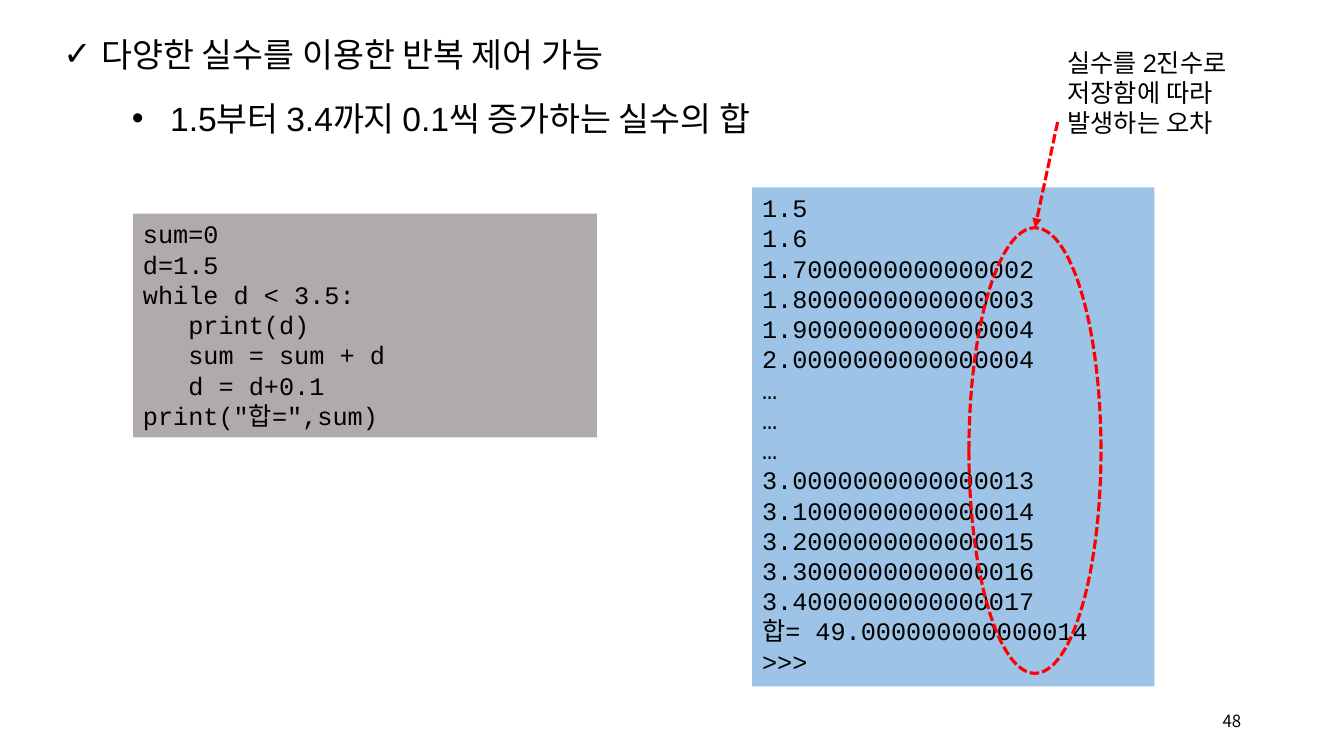
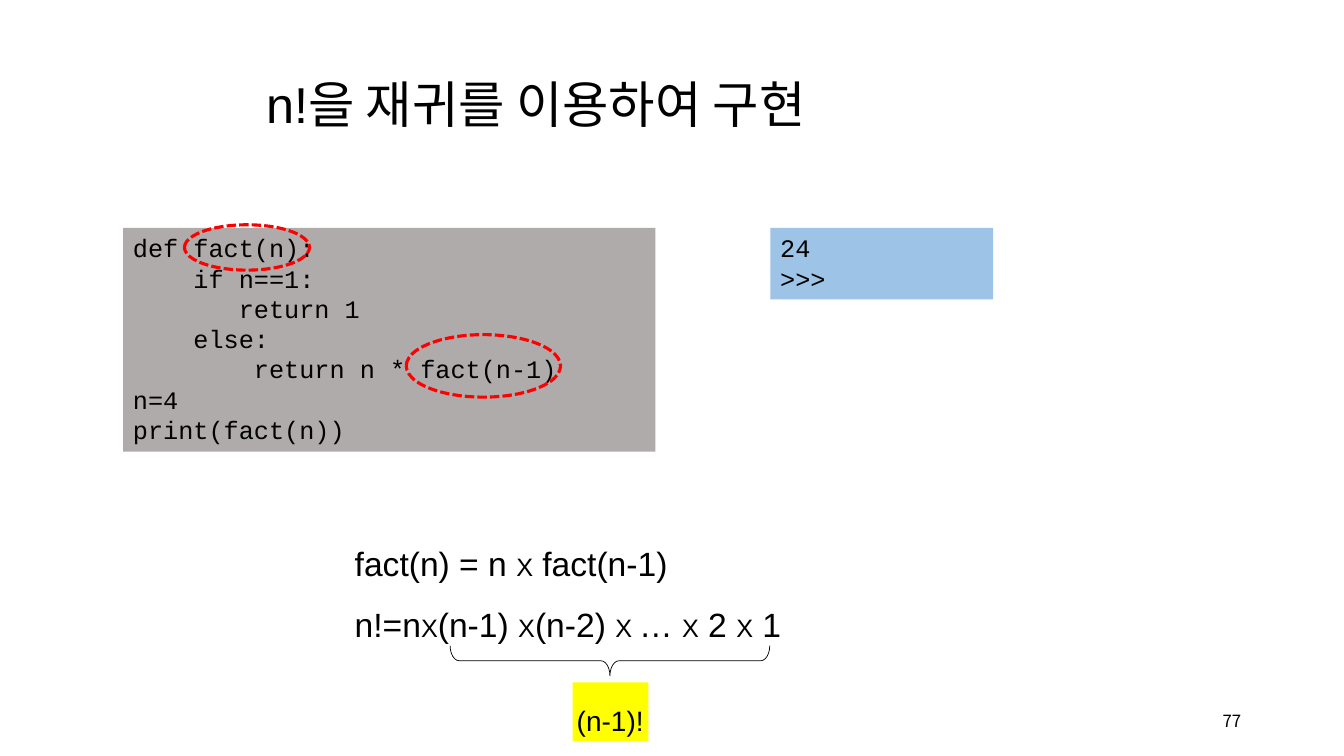
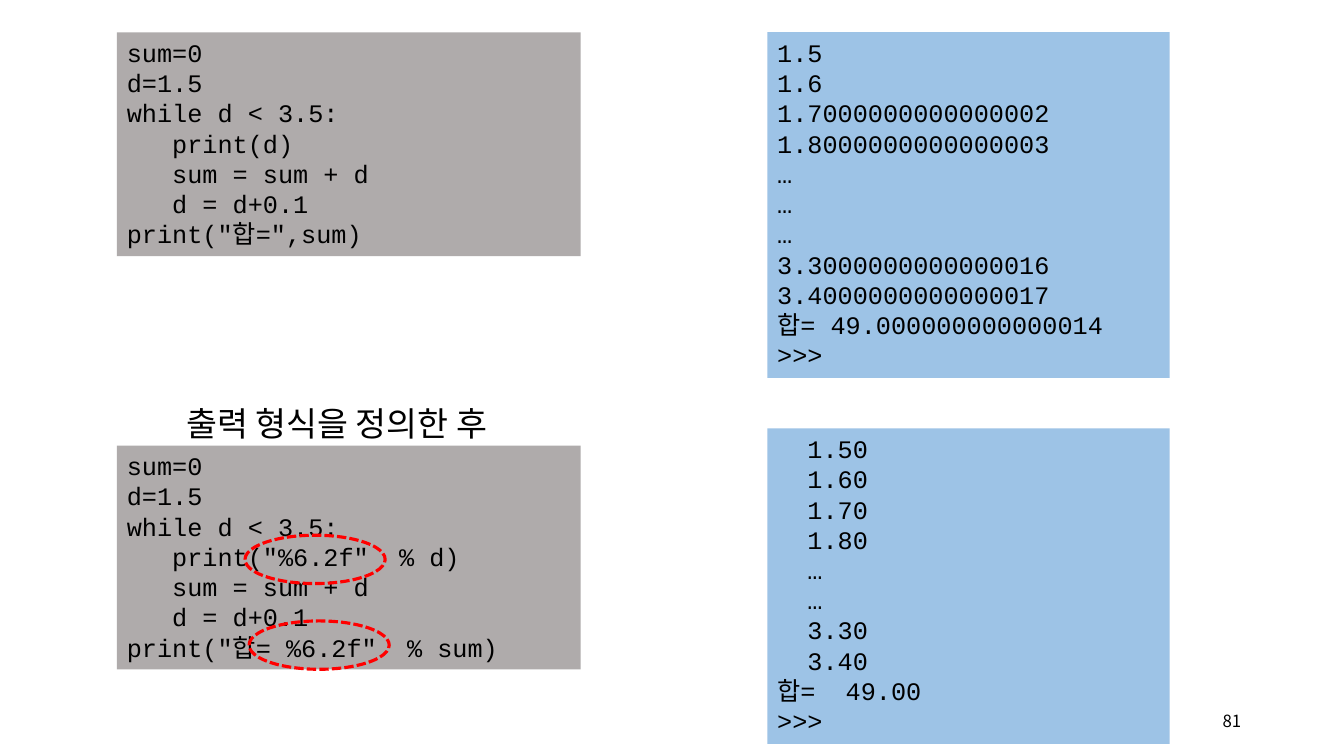
from dataclasses import dataclass

from lxml.etree import SubElement
from pptx import Presentation
from pptx.dml.color import RGBColor
from pptx.enum.dml import MSO_LINE
from pptx.enum.shapes import MSO_CONNECTOR, MSO_SHAPE
from pptx.enum.text import MSO_ANCHOR, MSO_AUTO_SIZE, PP_ALIGN
from pptx.oxml.ns import qn
from pptx.util import Pt

PX = 9144  # one px is a hundredth of an inch


@dataclass
class Theme:
    ink: str = "000000"
    code: str = "AFABAB"
    out: str = "9DC3E6"
    mark: str = "FF0000"
    note: str = "FFFF00"
    sans: str = "Arial"
    mono: str = "Courier New"
    hangul: str = "Noto Sans CJK KR"
    title: int = 36
    body: int = 24
    label: int = 20
    small: int = 18
    page: int = 12
    dash: float = 2.25
    thin: float = 0.5


T = Theme()


def write(slide, box, paras, size=T.small, font=T.sans, fill=None,
          wrap=True, lead=None, bullet=None, grow=True):
    """Add a text box; a paragraph is a string or a list of (text, size)."""
    shape = slide.shapes.add_textbox(*[n * PX for n in box])
    if fill:
        shape.fill.solid()
        shape.fill.fore_color.rgb = RGBColor.from_string(fill)
    frame = shape.text_frame
    frame.word_wrap = wrap
    frame.vertical_anchor = MSO_ANCHOR.TOP
    if grow:
        frame.auto_size = MSO_AUTO_SIZE.SHAPE_TO_FIT_TEXT
    for i, runs in enumerate(paras):
        para = frame.add_paragraph() if i else frame.paragraphs[0]
        if bullet:
            props = para._p.get_or_add_pPr()
            props.set("marL", str(38 * PX))
            props.set("indent", str(-38 * PX))
            SubElement(props, qn("a:buFont")).set("typeface", T.sans)
            SubElement(props, qn("a:buChar")).set("char", bullet)
        if lead:
            para.line_spacing = lead
        for words, points in [(runs, size)] if isinstance(runs, str) else runs:
            run = para.add_run()
            run.text = words
            run.font.size = Pt(points)
            run.font.color.rgb = RGBColor.from_string(T.ink)
            run.font.name = font
            east = SubElement(run.font._element, qn("a:ea"))
            east.set("typeface", T.hangul)
    return shape


def ring(slide, box):
    """Add a dashed ellipse around a spot worth noting."""
    shape = slide.shapes.add_shape(MSO_SHAPE.OVAL, *[n * PX for n in box])
    shape.shadow.inherit = False
    shape.fill.background()
    shape.line.color.rgb = RGBColor.from_string(T.mark)
    shape.line.width = Pt(T.dash)
    shape.line.dash_style = MSO_LINE.SQUARE_DOT
    return shape


deck = Presentation()
deck.slide_width, deck.slide_height = 1333 * PX, 750 * PX

# Slides with their page numbers
pages = []
for number in ("48", "77", "81"):
    slide = deck.slides.add_slide(deck.slide_layouts[6])
    foot = write(slide, (1193, 695, 48, 40), [number], T.page, T.hangul,
                 grow=False)
    foot.text_frame.vertical_anchor = MSO_ANCHOR.MIDDLE
    foot.text_frame.paragraphs[0].alignment = PP_ALIGN.RIGHT
    pages.append(slide)
loop, fact, form = pages

# Listings and their output
start = ["sum=0", "d=1.5", "while d < 3.5:"]
step = ["   sum = sum + d", "   d = d+0.1"]
plain = start + ["   print(d)"] + step + ['print("합=",sum)']
neat = (start + ['   print("%6.2f"  % d)'] + step
        + ['print("합= %6.2f"  % sum)'])
head = ["1.5", "1.6", "1.7000000000000002", "1.8000000000000003"]
tail = ["3.3000000000000016", "3.4000000000000017",
        "합= 49.000000000000014", ">>>"]
dots = ["…"] * 3
full = (head + ["1.9000000000000004", "2.0000000000000004"] + dots
        + ["3.0000000000000013", "3.1000000000000014", "3.2000000000000015"]
        + tail)
short = ["  " + n for n in ("1.50", "1.60", "1.70", "1.80",
                            "…", "…", "3.30", "3.40")]
short += ["합=  49.00", ">>>"]
power = ["def fact(n):", "    if n==1:", "       return 1", "    else:",
         "        return n * fact(n-1)", "n=4", "print(fact(n))"]

for slide, box, lines, fill in (
        (loop, (132, 212, 460, 222), plain, T.code),
        (loop, (746, 186, 399, 495), full, T.out),
        (fact, (122, 226, 528, 222), power, T.code),
        (fact, (764, 226, 221, 71), ["24", ">>>"], T.out),
        (form, (116, 32, 460, 222), plain, T.code),
        (form, (761, 32, 399, 343), head + dots + tail, T.out),
        (form, (116, 442, 460, 222), neat, T.code),
        (form, (761, 425, 399, 313), short, T.out)):
    write(slide, box, lines, font=T.mono, fill=fill)

# Headings
for slide, box, words, size, bullet in (
        (loop, (53, 9, 609, 63), "다양한 실수를 이용한 반복 제어 가능",
         T.body, "✓"),
        (loop, (121, 72, 683, 71),
         "1.5부터 3.4까지 0.1씩 증가하는 실수의 합", T.body, "•"),
        (fact, (254, 38, 609, 101), "n!을 재귀를 이용하여 구현",
         T.title, None),
        (form, (175, 375, 360, 71), "출력 형식을 정의한 후", T.body, None)):
    write(slide, box, [words], size, wrap=False, lead=1.5, bullet=bullet)

# Rings
for slide, box in ((fact, (183, 223, 124, 45)), (fact, (403, 332, 153, 62)),
                   (form, (243, 531, 139, 48)), (form, (247, 616, 139, 48))):
    ring(slide, box)

# Rounding error: remark, ring and arrow
write(loop, (1049, 42, 245, 101),
      ["실수를 2진수로 저장함에 따라 발생하는 오차"])
error = ring(loop, (961, 226, 131, 442))
arrow = loop.shapes.add_connector(
    MSO_CONNECTOR.STRAIGHT, 1049 * PX, 121 * PX, 1026 * PX, 226 * PX)
arrow.end_connect(error, 0)
arrow.line.color.rgb = RGBColor.from_string(T.mark)
arrow.line.width = Pt(T.dash)
arrow.line.dash_style = MSO_LINE.SQUARE_DOT
SubElement(arrow.line._get_or_add_ln(), qn("a:tailEnd")).set(
    "type", "triangle")
SubElement(arrow._element.spPr, qn("a:effectLst"))

# Factorial formula, with smaller times signs
rows = [["fact(n) = n ", "Χ", " fact(n-1)"],
        ["n!=n", "Χ", "(n-1) ", "Χ", "(n-2) ", "Χ ", "… ", "Χ", " 2 ",
         "Χ", " 1"]]
write(fact, (342, 514, 453, 131),
      [[(part, T.small if "Χ" in part else T.body) for part in row]
       for row in rows], wrap=False, lead=1.5)

# Brace and its label
brace = fact.shapes.add_shape(
    MSO_SHAPE.LEFT_BRACE, 590 * PX, 497 * PX, 30 * PX, 317 * PX)
brace.rotation = 270
brace.adjustments[0] = 0.3
brace.shadow.inherit = False
brace.fill.background()
brace.line.color.rgb = RGBColor.from_string(T.ink)
brace.line.width = Pt(T.thin)
label = write(fact, (568, 677, 75, 58), ["(n-1)!"], T.label, fill=T.note,
              wrap=False, lead=1.5)
edge = label.text_frame
edge.margin_left = edge.margin_right = 4 * PX
edge.margin_top = edge.margin_bottom = 4 * PX

deck.save("out.pptx")
